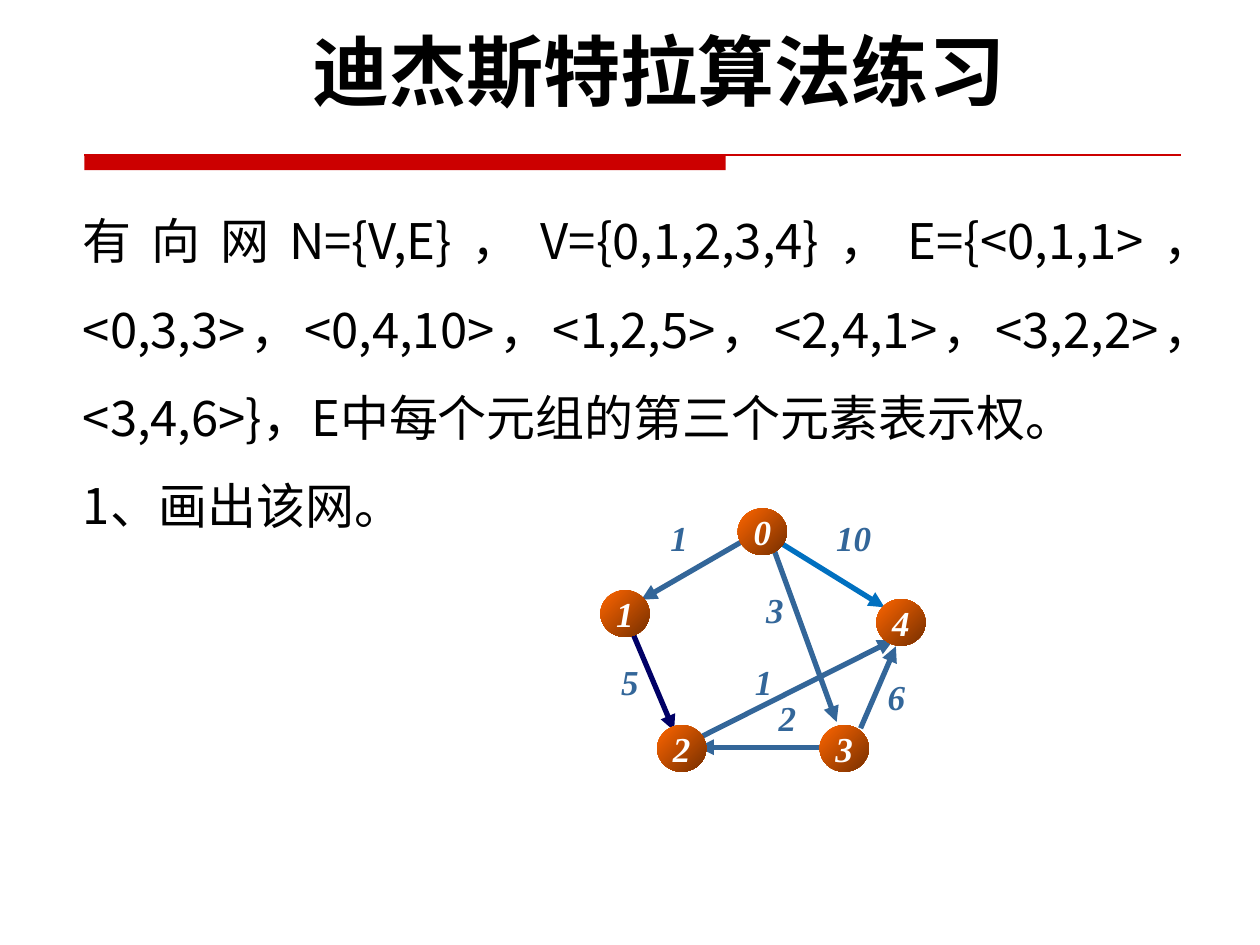
from pptx import Presentation
from pptx.dml.color import RGBColor
from pptx.enum.shapes import MSO_CONNECTOR as Link, MSO_SHAPE as Shape
from pptx.enum.text import MSO_ANCHOR as Anchor, PP_ALIGN as Align
from pptx.oxml.ns import qn
from pptx.util import Inches, Pt
from lxml.etree import SubElement as Sub

RED, BLUE = "CC0000", "336699"
SANS, SERIF = "Noto Sans CJK SC", "Times New Roman"

# Centre of each vertex
NODES = {"0": (6.05, 4.22), "1": (4.96, 4.87), "2": (5.41, 5.94),
         "3": (6.7, 5.94), "4": (7.15, 4.94)}

# Start, end and colour of each edge
EDGES = [((6.18, 4.3), (7.02, 4.82), "0070C0"),
         ((5.02, 5.02), (5.35, 5.8), "000066"),
         ((5.99, 4.24), (5.09, 4.76), BLUE),
         ((6.12, 4.3), (6.64, 5.73), BLUE),
         ((6.51, 5.93), (5.54, 5.93), BLUE),
         ((5.54, 5.86), (7.09, 5.08), BLUE),
         ((6.83, 5.78), (7.11, 5.13), BLUE)]

# Weight, left, top and width of each label
WEIGHTS = [("1", 5.15, 4.05, 0.48), ("5", 4.76, 5.19, 0.48),
           ("10", 6.39, 4.05, 0.77), ("1", 5.82, 5.19, 0.48),
           ("3", 5.91, 4.62, 0.48), ("2", 6.01, 5.48, 0.48),
           ("6", 6.73, 5.31, 0.77)]

BODY = ["有向网N={V,E}，V={0,1,2,3,4}，E={<0,1,1>，<0,3,3>，<0,4,10>，"
        "<1,2,5>，<2,4,1>，<3,2,2>，<3,4,6>}，E中每个元组的第三个元素表示权。",
        "1、画出该网。"]


def rgb(code):
    return RGBColor.from_string(code)


def write(frame, *lines, size=20, font=SERIF, color=BLUE, bold=True,
          slant=True, align=Align.CENTER, space=None):
    for i, line in enumerate(lines):
        para = frame.add_paragraph() if i else frame.paragraphs[0]
        para.alignment, para.line_spacing = align, space
        run = para.add_run()
        run.text = line
        face = run.font
        face.size, face.name, face.bold, face.italic = Pt(size), font, bold, slant
        face.color.rgb = rgb(color)
        # East Asian glyphs need their own typeface
        Sub(face._element, qn("a:ea"), typeface=SANS)


def text(slide, left, top, width, height, *lines, **form):
    box = slide.shapes.add_textbox(*map(Inches, (left, top, width, height)))
    box.text_frame.word_wrap = True
    write(box.text_frame, *lines, **form)


def line(slide, start, end, color, width, arrow=True):
    link = slide.shapes.add_connector(Link.STRAIGHT, *map(Inches, start + end))
    link.line.color.rgb = rgb(color)
    link.line.width = Pt(width)
    if arrow:
        Sub(link.line._get_or_add_ln(), qn("a:tailEnd"), type="triangle")
    Sub(link._element.spPr, qn("a:effectLst"))


def bar(slide, left, top, width, height, color):
    rect = slide.shapes.add_shape(
        Shape.RECTANGLE, *map(Inches, (left, top, width, height)))
    rect.shadow.inherit = False
    rect.fill.solid()
    rect.fill.fore_color.rgb = rgb(color)
    rect.line.fill.background()


def node(slide, name, x, y, width=0.39, height=0.37):
    oval = slide.shapes.add_shape(
        Shape.OVAL, Inches(x - width / 2), Inches(y - height / 2),
        Inches(width), Inches(height))
    oval.shadow.inherit = False
    oval.line.fill.background()
    oval.fill.gradient()
    oval.fill.gradient_angle = 315
    for stop, code, place in zip(oval.fill.gradient_stops,
                                 ("FF6600", "762F00"), (0, 1)):
        stop.color.rgb = rgb(code)
        stop.position = place
    frame = oval.text_frame
    frame.margin_left = frame.margin_right = 0
    frame.word_wrap = False
    frame.vertical_anchor = Anchor.MIDDLE
    write(frame, name, color="FFFFFF")


def main():
    deck = Presentation()
    deck.slide_width, deck.slide_height = Inches(10), Inches(7.5)
    slide = deck.slides.add_slide(deck.slide_layouts[6])

    # Title and rule
    bar(slide, 0.67, 1.23, 5.09, 0.12, RED)
    line(slide, (0.67, 1.23), (9.37, 1.23), RED, 0.75, arrow=False)
    text(slide, 0.69, 0.22, 9.08, 0.83, "迪杰斯特拉算法练习", size=44,
         font="Lato", color="000000", slant=False, space=0.9)

    # Exercise
    text(slide, 0.56, 1.39, 9.16, 2.82, *BODY, size=28, font=SANS,
         color="000000", bold=False, slant=False, align=Align.JUSTIFY,
         space=1.5)

    # Directed graph
    for start, end, color in EDGES:
        line(slide, start, end, color, 3)
    for name, (x, y) in NODES.items():
        node(slide, name, x, y)
    for weight, left, top, width in WEIGHTS:
        text(slide, left, top, width, 0.43, weight)

    deck.save("out.pptx")


if __name__ == "__main__":
    main()
